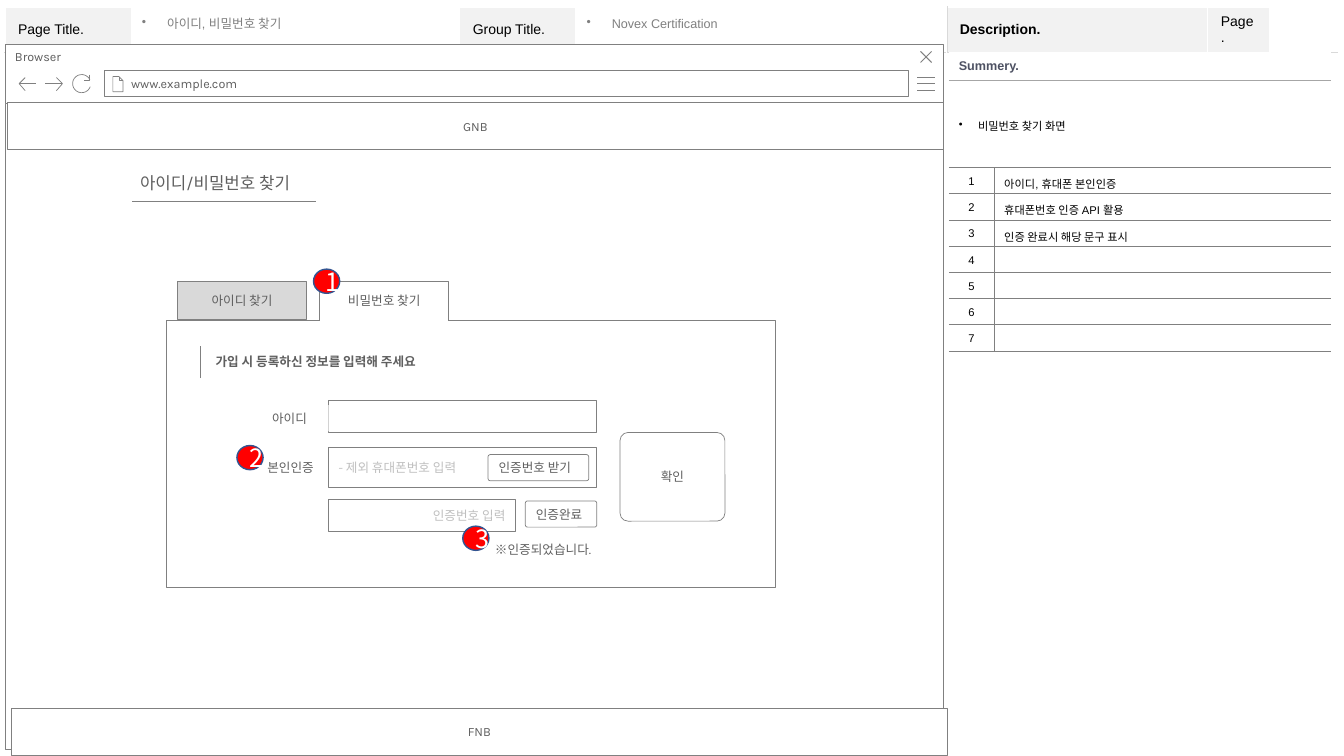
import math
from lxml import etree
from pptx import Presentation
from pptx import util as u
from pptx.dml.color import RGBColor
from pptx.enum import shapes, text
from pptx.oxml import ns

INK = {"white": "FFFFFF", "black": "000000", "gray": "808080", "body": "5F5F5F",
       "hint": "BFBFBF", "pale": "F2F2F2", "tab": "D9D9D9", "rule": "A6A6A6",
       "slate": "4E5263", "red": "FF0000", "navy": "325491"}
RECT, ROUND, OVAL = (shapes.MSO_SHAPE.RECTANGLE, shapes.MSO_SHAPE.ROUNDED_RECTANGLE,
                     shapes.MSO_SHAPE.OVAL)
ALIGN = {"l": text.PP_ALIGN.LEFT, "c": text.PP_ALIGN.CENTER,
         "r": text.PP_ALIGN.RIGHT, "j": text.PP_ALIGN.JUSTIFY}


def tint(name):
    """Return the named colour."""
    return RGBColor.from_string(INK[name])


def paint(fill, name):
    """Fill with a named colour, or clear the fill."""
    if name:
        fill.solid()
        fill.fore_color.rgb = tint(name)
    else:
        fill.background()


def write(box, words, size=9, font="Karla", ink="body", bold=False, align="l",
          pad=(0.1, 0.05, 0.1, 0.05), lead=None, hang=0):
    """Put formatted text in a text frame or a table cell."""
    box.vertical_anchor = text.MSO_ANCHOR.MIDDLE
    for side, gap in zip(("left", "top", "right", "bottom"), pad):
        setattr(box, "margin_" + side, u.Inches(gap))
    para = getattr(box, "text_frame", box).paragraphs[0]
    para.alignment = ALIGN[align]
    if lead:
        para.line_spacing = lead
    if hang:
        prop = para._p.get_or_add_pPr()
        prop.set("marL", str(u.Inches(hang)))
        prop.set("indent", str(-u.Inches(hang)))
        etree.SubElement(prop, ns.qn("a:buChar")).set("char", "•")
    if not words:
        para._p.get_or_add_endParaRPr().set("sz", str(size * 100))
        return
    run = para.add_run()
    run.text = words
    run.font.size, run.font.name, run.font.bold = u.Pt(size), font, bold
    run.font.color.rgb = tint(ink)


def edge(cell, **sides):
    """Draw cell borders, each given as (colour, points) or None."""
    prop = cell._tc.get_or_add_tcPr()
    for side in "LRTB":
        ink, width = sides.get(side) or (None, 0)
        line = etree.SubElement(prop, ns.qn("a:ln" + side), w=str(u.Pt(width)))
        if ink:
            fill = etree.SubElement(line, ns.qn("a:solidFill"))
            etree.SubElement(fill, ns.qn("a:srgbClr")).set("val", INK[ink])
        else:
            etree.SubElement(line, ns.qn("a:noFill"))


class Sketch:
    """Holds the wireframe style and the current slide."""

    def __init__(self, slide):
        """Start drawing on a slide."""
        self.slide = slide
        self.top()

    def top(self):
        """Draw on the slide itself."""
        self.on = self.slide.shapes

    def group(self):
        """Draw into a new group."""
        self.on = self.slide.shapes.add_group_shape().shapes

    def style(self, item, fill, line, width):
        """Set fill and outline without shadow."""
        item.shadow.inherit = False
        paint(item.fill, fill)
        paint(item.line.fill, line)
        if line:
            item.line.width = u.Pt(width)

    def box(self, at, words="", kind=RECT, fill="white", line="gray", width=0.5,
            wrap=True, grow=False, **form):
        """Add a preset shape, with text if given."""
        item = self.on.add_shape(kind, *map(u.Inches, at))
        self.style(item, fill, line, width)
        if kind == ROUND:
            item.adjustments[0] = 0.09
        if words:
            item.text_frame.word_wrap = wrap
            if grow:
                item.text_frame.auto_size = text.MSO_AUTO_SIZE.SHAPE_TO_FIT_TEXT
            write(item.text_frame, words, **form)
        return item

    def label(self, at, words, **form):
        """Add a borderless label that fits its text."""
        self.box(at, words, line=None, grow=True, pad=(0.1, 0.06, 0.1, 0.06), **form)

    def note(self, at, words):
        """Add a bulleted header text box."""
        frame = self.on.add_textbox(*map(u.Inches, at)).text_frame
        frame.word_wrap = True
        write(frame, words, font="Arial", ink="gray", lead=0.9, hang=0.25)

    def rule(self, x, y, x2, y2):
        """Add a thin straight line."""
        item = self.on.add_connector(shapes.MSO_CONNECTOR.STRAIGHT,
                                     *map(u.Inches, (x, y, x2, y2)))
        paint(item.line.fill, "gray")
        item.line.width = u.Pt(0.5)
        etree.SubElement(item._element.spPr, ns.qn("a:effectLst"))

    def trace(self, *strokes, fill=None, width=0.5):
        """Add open strokes as one outline."""
        runs = [[(u.Inches(x), u.Inches(y)) for x, y in stroke] for stroke in strokes]
        pen = self.on.build_freeform(*runs[0][0])
        for i, run in enumerate(runs):
            if i:
                pen.move_to(*run[0])
            pen.add_line_segments(run[1:], close=False)
        item = pen.convert_to_shape()
        self.style(item, fill, "gray", width)
        return item

    def badge(self, x, y, words):
        """Add a numbered red marker."""
        self.box((x, y, 0.26, 0.24), words, OVAL, "red", "navy", 1, size=18,
                 font="Noto Sans CJK KR", ink="white", align="c")

    def grid(self, at, cols, rows):
        """Add a plain table with the given sizes."""
        item = self.on.add_table(len(rows), len(cols),
                                 *map(u.Inches, (*at, sum(cols), sum(rows)))).table
        item.first_row = item.horz_banding = False
        for col, size in zip(item.columns, cols):
            col.width = u.Inches(size)
        for row, size in zip(item.rows, rows):
            row.height = u.Inches(size)
        return item


def frame(pad):
    """Draw the page frame table."""
    grid = pad.grid((0.05, 0.07), (1.26, 3.25, 1.15, 3.68, 2.59, 0.61, 0.68), (0.33, 6.67))
    heads = ("Page Title.", "", "Group Title.", "", "Description.", "Page.", "")
    white, soft = ("white", 1), ("tab", 0.25)
    grid.cell(1, 0).merge(grid.cell(1, 3))
    grid.cell(1, 4).merge(grid.cell(1, 6))
    for i, head in enumerate(heads):
        left, right = soft if i == 4 else white, soft if i == 3 else white
        cell = grid.cell(0, i)
        write(cell, head, size=10, font="Arial", ink="black", bold=i == 4,
              pad=(0.13, 0.07, 0.13, 0.07))
        edge(cell, L=left, R=right, T=white, B=soft)
        paint(cell.fill, "pale" if head else None)
        edge(grid.cell(1, i), L=left, R=right, T=soft, B=white)
        paint(grid.cell(1, i).fill, None)


def browser(pad):
    """Draw the browser window and its icons."""
    pad.group()
    pad.box((0.05, 1.02, 9.31, 6.41))
    bar = pad.box((0.05, 0.44, 9.31, 0.59), "Browser", pad=(0.1, 0.05, 0.25, 0.05))
    bar.text_frame.vertical_anchor = text.MSO_ANCHOR.TOP
    pad.trace(*[[(9.1, y), (9.27, y)] for y in (0.9, 0.83, 0.77)])
    pad.trace([(9.24, 0.51), (9.13, 0.62)], [(9.13, 0.51), (9.24, 0.62)], width=0.75)
    pad.box((1.04, 0.7, 7.97, 0.26), "www.example.com", pad=(0.26, 0.05, 0.1, 0.05))
    pad.trace([(1.18, 0.76), (1.18, 0.8), (1.22, 0.8)],
              [(1.12, 0.76), (1.12, 0.91), (1.22, 0.91), (1.22, 0.8), (1.18, 0.76), (1.12, 0.76)])
    for tip, tail, bend in ((0.19, 0.36, 0.25), (0.62, 0.45, 0.56)):
        pad.trace([(bend, 0.9), (tip, 0.83), (bend, 0.77)], [(tip, 0.83), (tail, 0.83)])
    turn = [math.radians(a) for a in range(20, 336, 15)]
    pad.trace([(0.89, 0.74), (0.89, 0.8), (0.83, 0.8)],
              [(0.81 + 0.09 * math.cos(a), 0.83 + 0.09 * math.sin(a)) for a in turn])
    pad.top()


def notes(pad):
    """Draw the description table."""
    items = ("아이디, 휴대폰 본인인증", "휴대폰번호 인증 API 활용", "인증 완료시 해당 문구 표시",
             "", "", "", "")
    grid = pad.grid((9.41, 0.52), (0.45, 3.34), [0.28, 0.86] + [0.26] * len(items))
    line, soft = ("gray", 0.25), ("rule", 0.25)
    for row in (0, 1):
        grid.cell(row, 0).merge(grid.cell(row, 1))
    write(grid.cell(0, 0), "Summery.", font="Arial", ink="slate", bold=True)
    form = {"size": 8, "font": "Arial", "ink": "black", "lead": 1.2}
    write(grid.cell(1, 0), "비밀번호 찾기 화면", align="j", hang=0.19, **form)
    for col in (0, 1):
        edge(grid.cell(0, col), B=soft)
        edge(grid.cell(1, col), T=soft, B=line)
        paint(grid.cell(0, col).fill, "white")
        paint(grid.cell(1, col).fill, None)
    for i, item in enumerate(items):
        for col, words in enumerate((str(i + 1), item)):
            cell = grid.cell(i + 2, col)
            write(cell, words, align="l" if col else "c", **form)
            edge(cell, T=line, B=line, **{"L" if col else "R": line})
            paint(cell.fill, None)


def tabs(pad):
    """Draw the two search tabs."""
    pad.group()
    pad.rule(3.17, 3.18, 1.65, 3.18)
    pad.rule(4.45, 3.18, 5.57, 3.18)
    form = {"align": "c", "pad": (0.05,) * 4}
    tab = pad.trace([(3.17, 3.18), (3.17, 2.79), (4.45, 2.79), (4.45, 3.18)], fill="white")
    tab.text_frame.word_wrap = True
    write(tab.text_frame, "비밀번호 찾기", **form)
    pad.box((1.76, 2.79, 1.28, 0.38), "아이디 찾기", fill="tab", **form)
    pad.top()


def fields(pad):
    """Draw the input form."""
    pad.group()
    pad.box((3.26, 3.97, 2.66, 0.32), fill=None)
    pad.box((3.26, 4.44, 2.66, 0.4), "- 제외 휴대폰번호 입력", fill=None, ink="hint")
    pad.label((2.6, 4.02, 0.66, 0.26), "아이디")
    pad.label((2.21, 4.51, 1, 0.26), "본인인증", align="r")
    pad.box((3.26, 4.95, 1.85, 0.32), "인증번호 입력", fill=None, ink="hint", align="r")
    for at, words in (((4.84, 4.51, 1, 0.26), "인증번호 받기"), ((5.21, 4.97, 0.71, 0.26), "인증완료")):
        pad.box(at, words, ROUND, wrap=False, grow=True)
    pad.label((4.11, 5.32, 1.85, 0.26), "※인증되었습니다.", align="r")
    pad.top()


deck = Presentation()
deck.slide_width, deck.slide_height = u.Inches(13.33), u.Inches(7.5)
pad = Sketch(deck.slides.add_slide(deck.slide_layouts[6]))
frame(pad)
browser(pad)
pad.note((1.31, 0.12, 3.24, 0.24), "아이디, 비밀번호 찾기")
pad.note((5.72, 0.12, 3.64, 0.24), "Novex Certification")
notes(pad)
pad.box((0.07, 1.02, 9.29, 0.46), "GNB", align="c")
pad.box((0.11, 7.03, 9.29, 0.46), "FNB", align="c")
pad.rule(1.31, 2, 3.13, 2)
pad.label((1.29, 1.66, 1.85, 0.31), "아이디/비밀번호 찾기", size=12)
pad.box((1.65, 3.18, 6.04, 2.65))
tabs(pad)
pad.rule(1.99, 3.75, 1.99, 3.43)
pad.label((2.04, 3.46, 2.41, 0.26), "가입 시 등록하신 정보를 입력해 주세요", bold=True)
pad.box((6.15, 4.29, 1.04, 0.88), "확인", ROUND, wrap=False, align="c")
pad.badge(3.11, 2.67, "1")
fields(pad)
pad.badge(2.35, 4.42, "2")
pad.badge(4.59, 5.22, "3")
deck.save("out.pptx")
